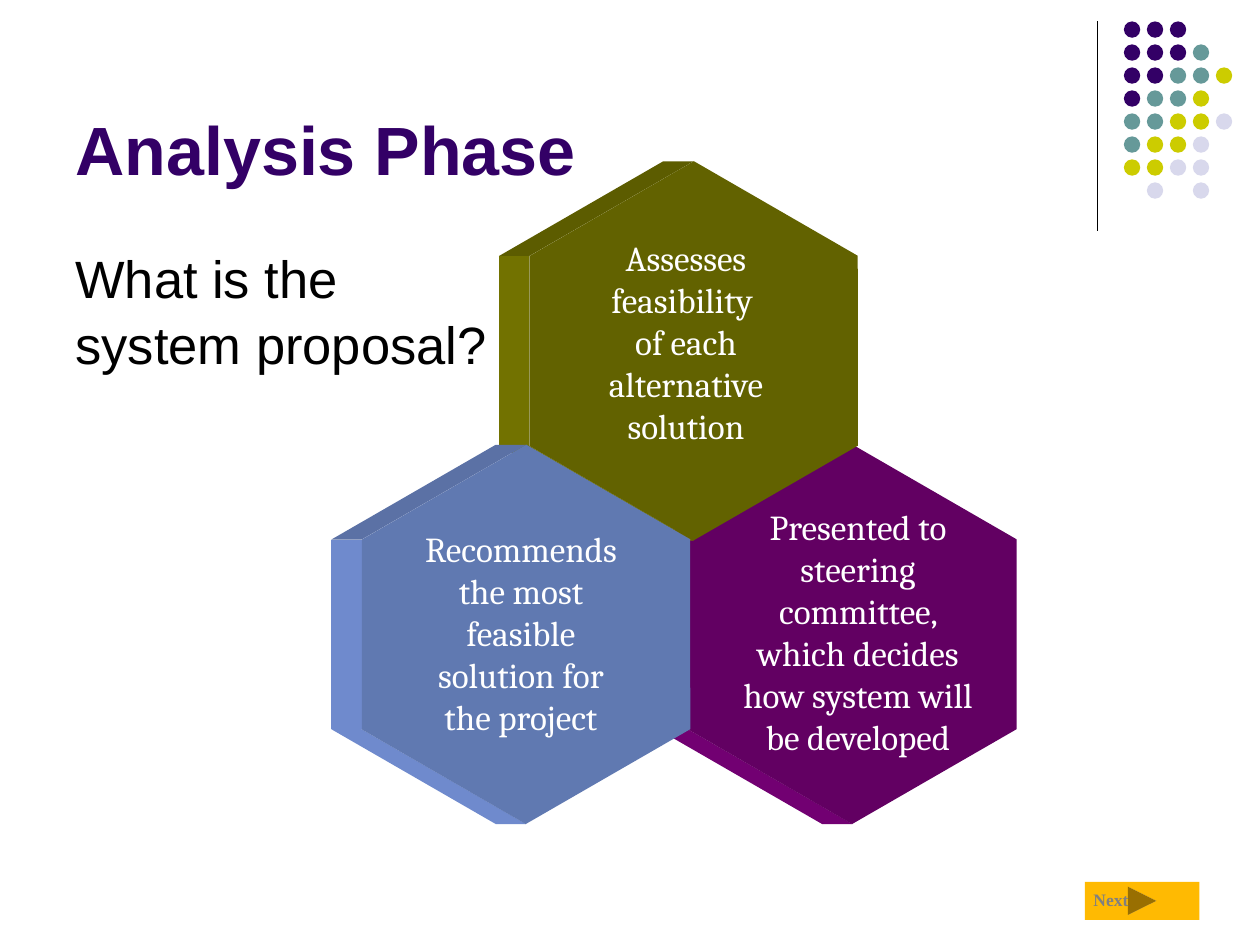
from pptx import Presentation
from pptx.dml.color import RGBColor
from pptx.enum.shapes import MSO_CONNECTOR, MSO_SHAPE
from pptx.enum.text import MSO_ANCHOR, PP_ALIGN
from pptx.oxml.ns import qn
from pptx.util import Inches, Pt
from lxml import etree

HEXAGON = MSO_SHAPE.HEXAGON
OVAL = MSO_SHAPE.OVAL
NEXT_BUTTON = MSO_SHAPE.ACTION_BUTTON_FORWARD_OR_NEXT
STRAIGHT = MSO_CONNECTOR.STRAIGHT
LEFT, CENTER = PP_ALIGN.LEFT, PP_ALIGN.CENTER
TOP, BOTTOM = MSO_ANCHOR.TOP, MSO_ANCHOR.BOTTOM

COLORS = {
    "black": "000000", "white": "FFFFFF", "gray": "808080",
    "indigo": "330066", "teal": "669999", "lime": "CCCC00", "lavender": "D8D8EC",
    "amber": "FFBA02",
    "olive": "626200", "olive side": "727200", "olive top": "5C5C00",
    "purple": "620062", "purple side": "720072", "purple top": "5C005C",
    "blue": "6079B1", "blue side": "6F8ACD", "blue top": "5B71A5",
}

HEX_LENGTH, HEX_BREADTH = 3.01, 2.61
HEX_DEPTH = 0.24

DOT_COLORS = {"i": "indigo", "t": "teal", "l": "lime", "v": "lavender"}
DOT_ROWS = ["iii", "iiit", "iittl", "ittl", "ttllv", "tllv", "llvv", " v v"]
DOT_SIZE, DOT_PITCH = 0.13, 0.73 / 4


class SlideBuilder:
    def __init__(self, slide):
        self.slide = slide
        self.shapes = slide.shapes

    def color(self, name):
        return RGBColor.from_string(COLORS[name])

    def paint(self, shape, fill):
        shape.shadow.inherit = False
        shape.fill.solid()
        shape.fill.fore_color.rgb = self.color(fill)
        shape.line.fill.background()

    def shape(self, preset, left, top, width, height, fill):
        shape = self.shapes.add_shape(
            preset, Inches(left), Inches(top), Inches(width), Inches(height))
        self.paint(shape, fill)
        return shape

    def polygon(self, points, fill):
        corners = [(Inches(x), Inches(y)) for x, y in points]
        outline = self.shapes.build_freeform(*corners[0], scale=1.0)
        outline.add_line_segments(corners[1:], close=True)
        self.paint(outline.convert_to_shape(), fill)

    def line(self, x1, y1, x2, y2, color, weight):
        rule = self.shapes.add_connector(
            STRAIGHT, Inches(x1), Inches(y1), Inches(x2), Inches(y2))
        rule.line.color.rgb = self.color(color)
        rule.line.width = Pt(weight)
        etree.SubElement(rule._element.spPr, qn("a:effectLst"))

    def text(self, words, left, top, width, height, font, size, color,
             bold=False, align=LEFT, anchor=TOP, spacing=None):
        box = self.shapes.add_textbox(
            Inches(left), Inches(top), Inches(width), Inches(height))
        frame = box.text_frame
        frame.word_wrap = True
        frame.vertical_anchor = anchor
        paragraph = frame.paragraphs[0]
        paragraph.text = words
        paragraph.alignment = align
        if spacing:
            paragraph.line_spacing = spacing
        for run in paragraph.runs:
            run.font.name = font
            run.font.size = Pt(size)
            run.font.bold = bold
            run.font.color.rgb = self.color(color)

    def hexagon_block(self, left, top, color):
        """Upright hexagon with three walls running back to the left."""
        center_x, center_y = left + HEX_LENGTH / 2, top + HEX_BREADTH / 2
        half_height, half_width = HEX_LENGTH / 2, HEX_BREADTH / 2
        edge_x = center_x - half_width
        rim = [(center_x, center_y - half_height),
               (edge_x, center_y - half_height / 2),
               (edge_x, center_y + half_height / 2),
               (center_x, center_y + half_height)]
        for start, end, wall in zip(rim, rim[1:], ("top", "side", "side")):
            back = [(x - HEX_DEPTH, y) for x, y in (end, start)]
            self.polygon([start, end, *back], f"{color} {wall}")
        face = self.shape(HEXAGON, left, top, HEX_LENGTH, HEX_BREADTH, color)
        face.adjustments[0] = 0.289
        face.adjustments[1] = 1.155
        face.rotation = 30

    def dots(self, left, top):
        for row, pattern in enumerate(DOT_ROWS):
            for column, key in enumerate(pattern):
                if key in DOT_COLORS:
                    self.shape(OVAL, left + column * DOT_PITCH, top + row * DOT_PITCH,
                               DOT_SIZE, DOT_SIZE, DOT_COLORS[key])


def main():
    deck = Presentation()
    deck.slide_width, deck.slide_height = Inches(10), Inches(7.5)
    page = SlideBuilder(deck.slides.add_slide(deck.slide_layouts[6]))

    page.line(8.71, 0.17, 8.71, 1.83, "black", 0.75)
    page.dots(8.92, 0.17)

    proposal_points = [
        (5.26, 3.73, "purple", (5.76, 3.96, 2.1, 2.1),
         "Presented to steering committee, which decides how system will be developed"),
        (4, 1.48, "olive", (4.51, 1.83, 1.87, 1.77),
         "Assesses feasibility \vof each alternative solution"),
        (2.67, 3.73, "blue", (3.27, 4.14, 1.73, 1.77),
         "Recommends the most feasible solution for the project"),
    ]
    for left, top, color, text_area, words in proposal_points:
        page.hexagon_block(left, top, color)
        page.text(words, *text_area, "Cambria", 20, "white", align=CENTER)

    page.text("Analysis Phase", 0.5, 0.13, 8.25, 1.42, "Arial", 39, "indigo",
              bold=True, anchor=BOTTOM)
    page.text("What is the \vsystem proposal?", 0.5, 1.88, 5.99, 1.37,
              "Arial", 30, "black", spacing=1.05)

    page.shape(NEXT_BUTTON, 8.61, 7, 0.91, 0.3, "amber")
    page.text("Next", 8.58, 7.01, 0.51, 0.27, "Times New Roman", 10, "gray", bold=True)

    deck.save("out.pptx")


if __name__ == "__main__":
    main()
